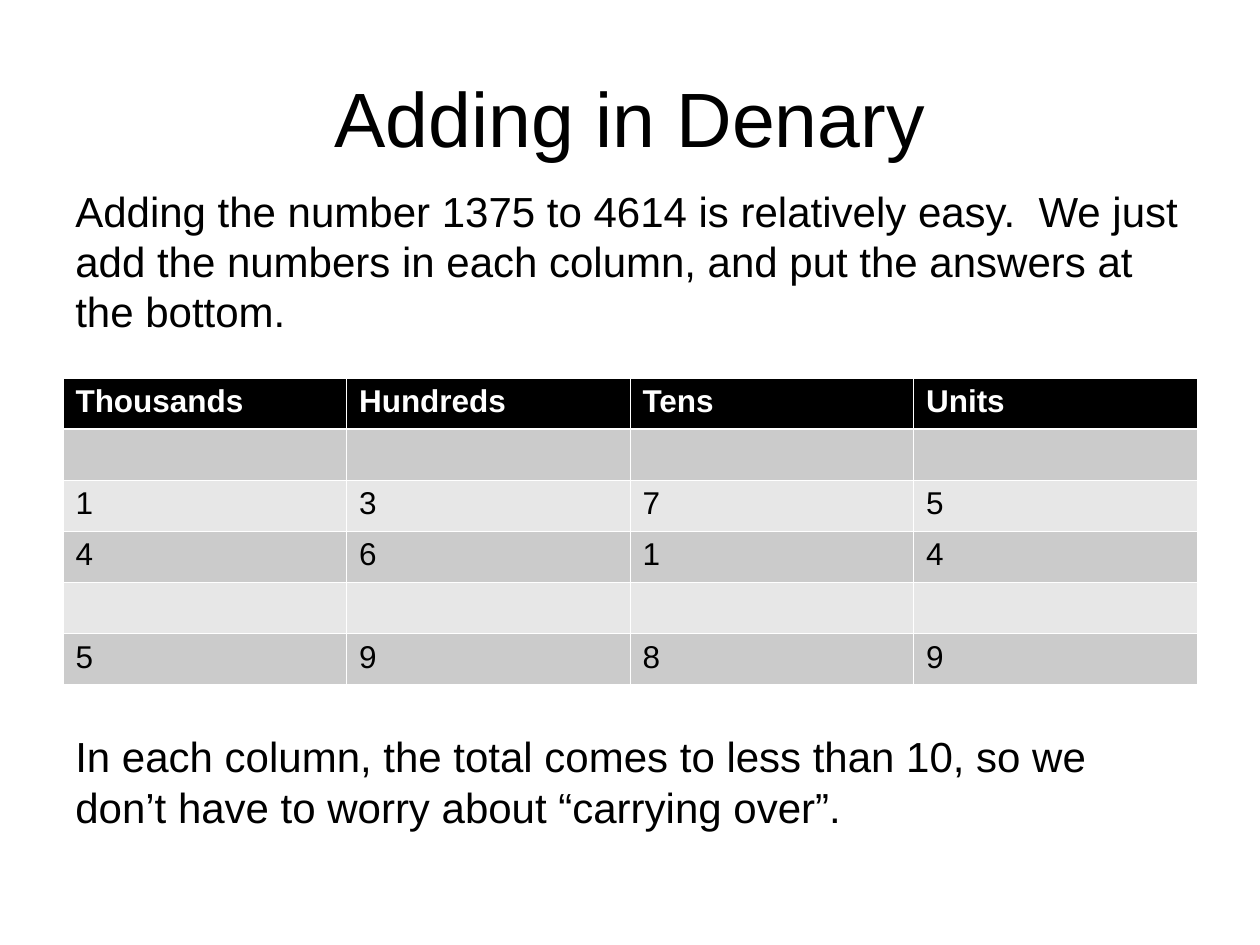
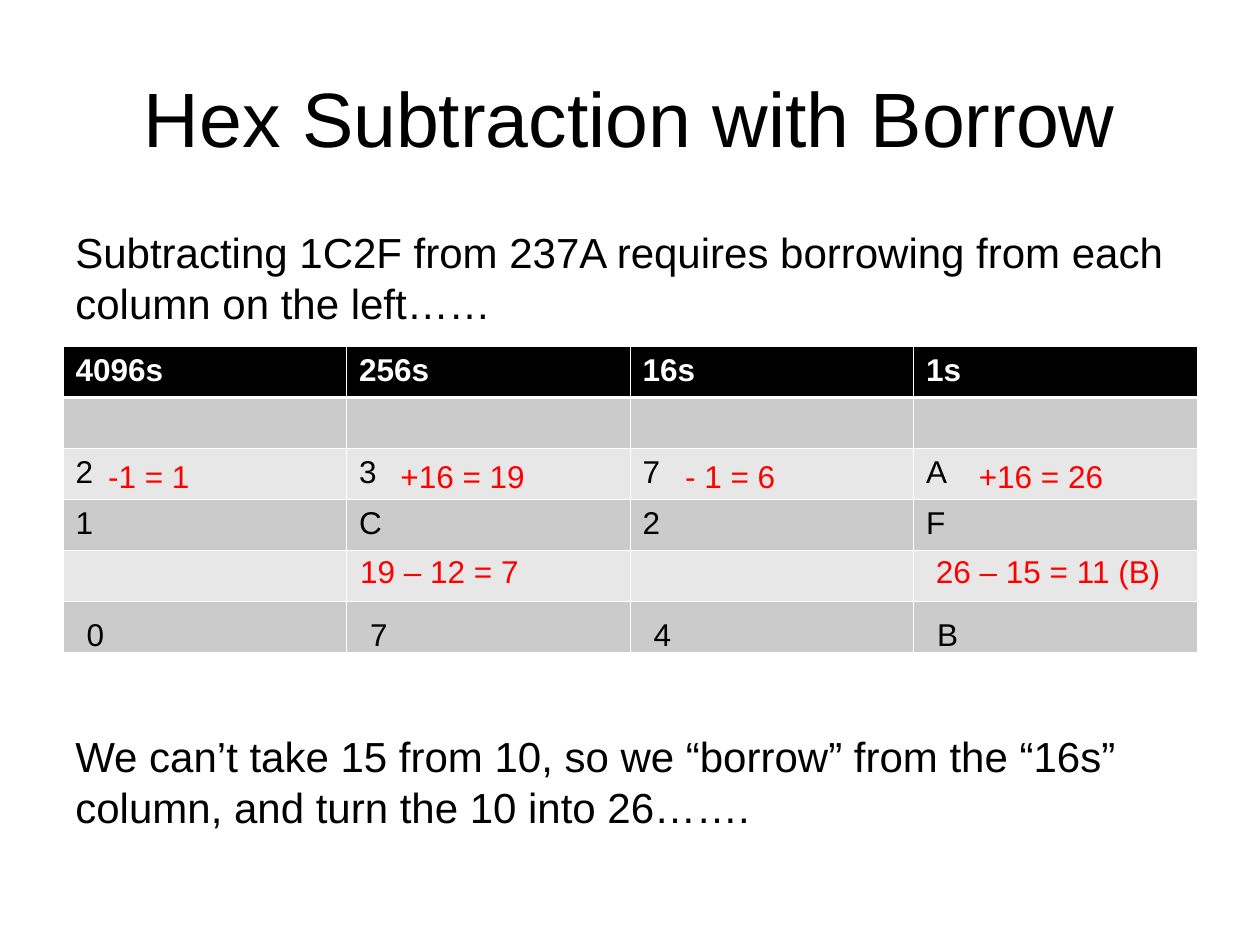
from pptx import Presentation
from pptx.dml.color import RGBColor
from pptx.enum.text import MSO_ANCHOR, PP_ALIGN
from pptx.oxml import parse_xml
from pptx.oxml.ns import nsdecls
from pptx.util import Inches, Pt

BLACK = RGBColor(0x00, 0x00, 0x00)
WHITE = RGBColor(0xFF, 0xFF, 0xFF)
RED = RGBColor(0xFF, 0x00, 0x00)
DARK_BAND = RGBColor(0xCB, 0xCB, 0xCB)
LIGHT_BAND = RGBColor(0xE7, 0xE7, 0xE7)
FONT = "Arial"
COLUMN_WIDTH = 2.25
TABLE_HEIGHT = 2.43
THIN, THICK = 0.45, 1.47


def add_span(para, text, size, color, bold=False):
    span = para.add_run()
    span.text = text
    span.font.name = FONT
    span.font.size = Pt(size)
    span.font.bold = bold
    span.font.color.rgb = color


def add_label(page, text, left, top, width, height, size, color):
    box = page.shapes.add_textbox(Inches(left), Inches(top), Inches(width), Inches(height))
    box.text_frame.word_wrap = True
    add_span(box.text_frame.paragraphs[0], text, size, color)


lessons = [
    {
        "title": "Adding in Denary",
        "intro": "Adding the number 1375 to 4614 is relatively easy.  We just add the "
                 "numbers in each column, and put the answers at the bottom.",
        "intro_top": 1.42,
        "intro_height": 1.3,
        "table_top": 3,
        "rows": [["Thousands", "Hundreds", "Tens", "Units"], [""] * 4,
                 "1375", "4614", [""] * 4, "5989"],
        "closing": "In each column, the total comes to less than 10, so we don’t have to "
                   "worry about “carrying over”.",
        "notes": [],
    },
    {
        "title": "Hex Subtraction with Borrow",
        "intro": "Subtracting 1C2F from 237A requires borrowing from each column on the left……",
        "intro_top": 1.75,
        "intro_height": 0.9,
        "table_top": 2.75,
        "rows": [["4096s", "256s", "16s", "1s"], [""] * 4,
                 "237A", "1C2F", [""] * 4, [""] * 4],
        "closing": "We can’t take 15 from 10, so we “borrow” from the “16s” column, "
                   "and turn the 10 into 26…….",
        "notes": [
            ("-1 = 1", 0.76, 3.58, 0.95, RED),
            ("+16 = 19", 3.08, 3.58, 1.25, RED),
            ("- 1 = 6", 5.34, 3.58, 1, RED),
            ("+16 = 26", 7.67, 3.58, 1.58, RED),
            ("19 – 12 = 7", 2.76, 4.33, 1.55, RED),
            ("26 – 15 = 11 (B)", 7.33, 4.33, 2.1, RED),
        ] + [(digit, 0.59 + COLUMN_WIDTH * index, 4.83, 0.4, BLACK)
             for index, digit in enumerate("074B")],
    },
]

deck = Presentation()
deck.slide_width = Inches(10)
deck.slide_height = Inches(7.5)

for lesson in lessons:
    page = deck.slides.add_slide(deck.slide_layouts[5])

    title = page.shapes.title
    title.left, title.top = Inches(0.5), Inches(0.3)
    title.width, title.height = Inches(9), Inches(1.25)
    title.text_frame.vertical_anchor = MSO_ANCHOR.MIDDLE
    title_para = title.text_frame.paragraphs[0]
    title_para.alignment = PP_ALIGN.CENTER
    add_span(title_para, lesson["title"], 44, BLACK)

    table = page.shapes.add_table(
        6, 4, Inches(0.5), Inches(lesson["table_top"]),
        Inches(4 * COLUMN_WIDTH), Inches(TABLE_HEIGHT)).table
    for row_index, values in enumerate(lesson["rows"]):
        header = row_index == 0
        band = BLACK if header else DARK_BAND if row_index % 2 else LIGHT_BAND
        edges = {"lnL": THIN, "lnR": THIN,
                 "lnT": THICK if row_index == 1 else THIN,
                 "lnB": THICK if header else THIN}
        for column_index, value in enumerate(values):
            cell = table.cell(row_index, column_index)
            properties = cell._tc.get_or_add_tcPr()
            for edge, points in edges.items():
                properties.append(parse_xml(
                    f'<a:{edge} {nsdecls("a")} w="{Pt(points)}"><a:solidFill>'
                    f'<a:srgbClr val="{WHITE}"/></a:solidFill></a:{edge}>'))
            cell.fill.solid()
            cell.fill.fore_color.rgb = band
            if value:
                add_span(cell.text_frame.paragraphs[0], value, 18,
                         WHITE if header else BLACK, header)

    add_label(page, lesson["intro"], 0.5, lesson["intro_top"], 9,
              lesson["intro_height"], 24, BLACK)
    add_label(page, lesson["closing"], 0.5, 5.75, 9, 0.9, 24, BLACK)
    for text, left, top, width, color in lesson["notes"]:
        add_label(page, text, left, top, width, 0.4, 18, color)

deck.save("out.pptx")
